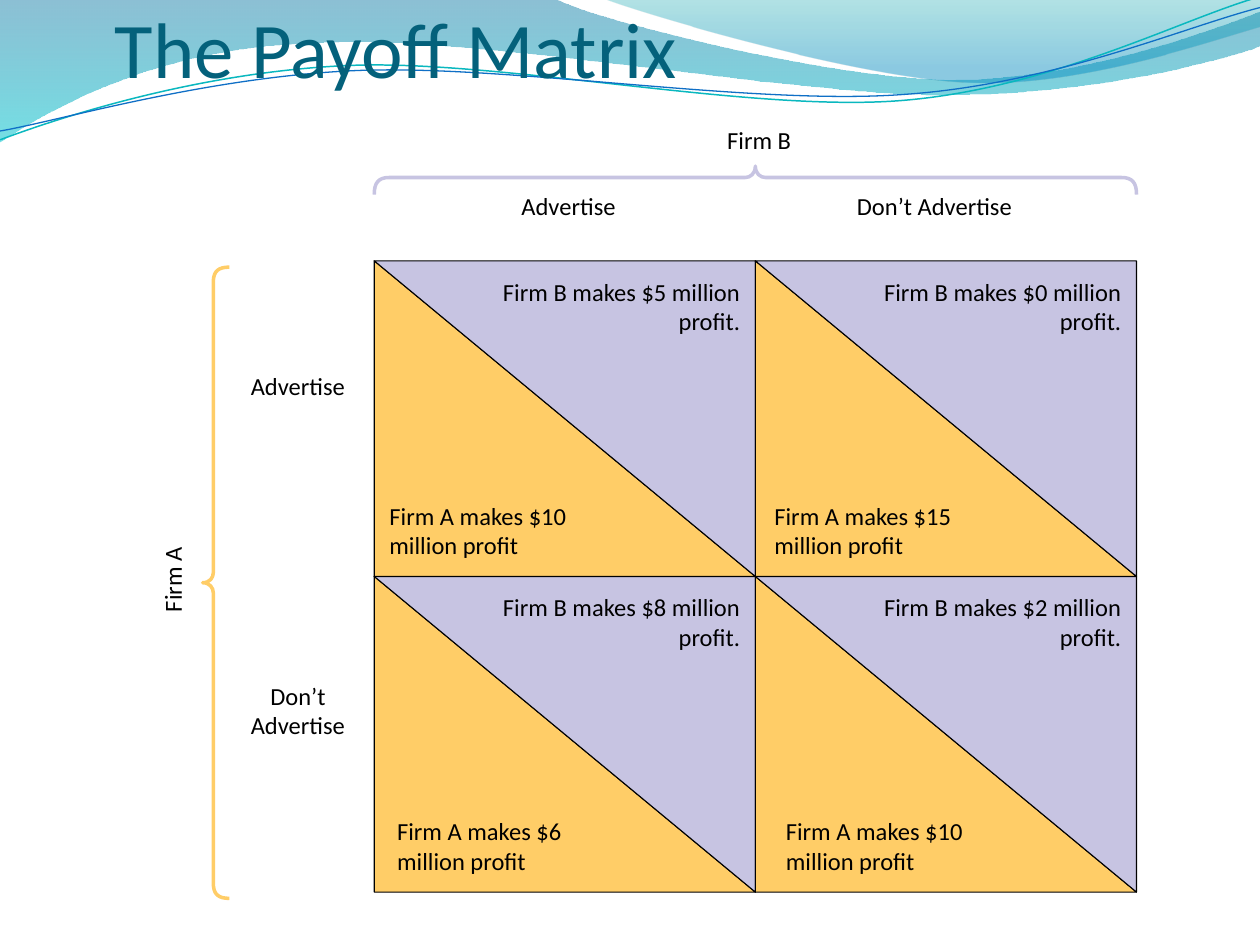
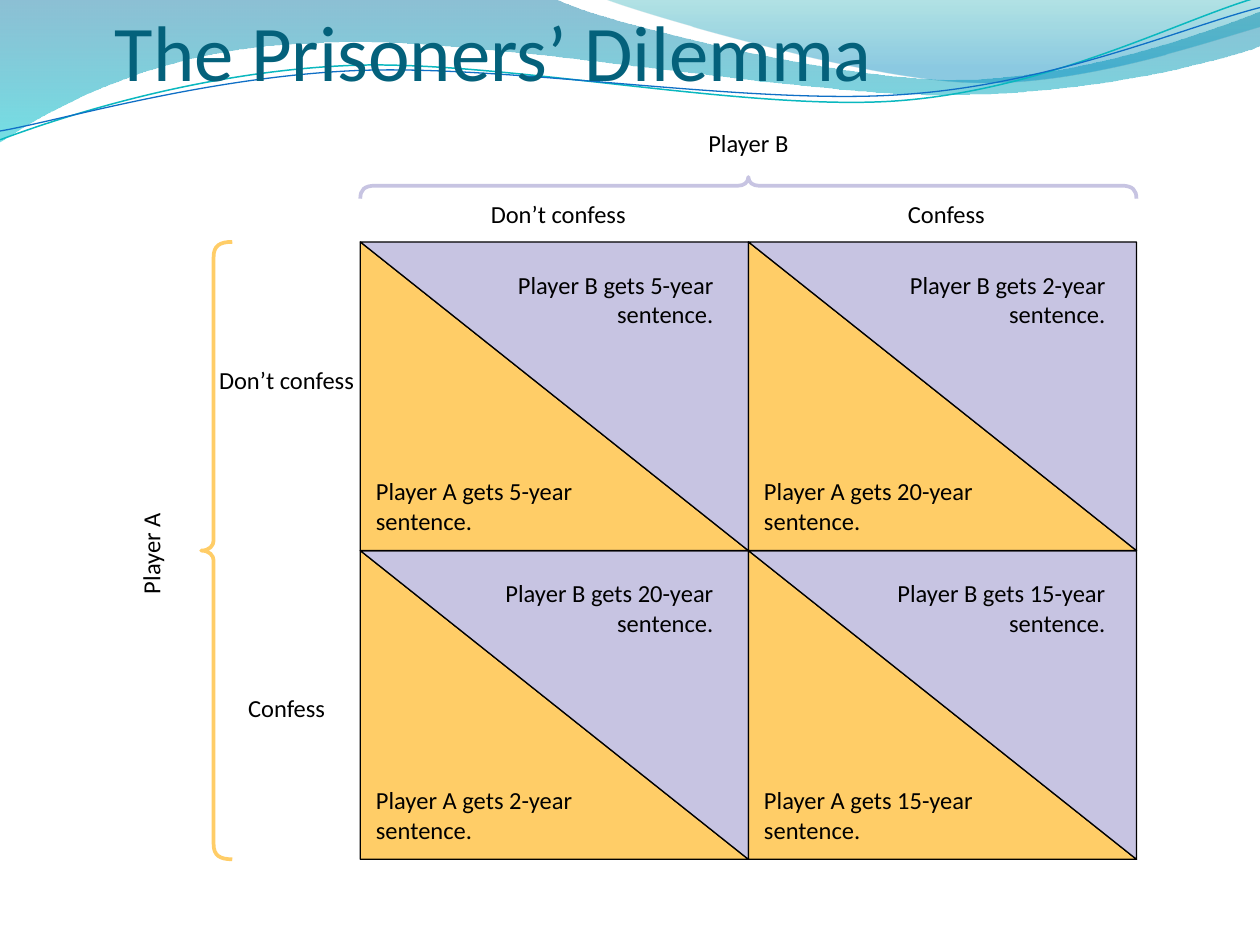
import dataclasses
import itertools
import math

import lxml.etree
import pptx
import pptx.dml.color
import pptx.enum.text
import pptx.oxml.ns
import pptx.util

Point = tuple[float, float]
Segment = list[Point]  # two points are a line, four are a Bezier curve

WIDTH, HEIGHT = 10, 7.5
FONT = "Calibri"
BODY_SIZE, TITLE_SIZE = 14, 45
LINE_HEIGHT, TITLE_HEIGHT = 0.235, 0.67
COLORS = {
    "title": "04617B", "text": "000000", "outline": "000000",
    "row_player": "FFCD67", "column_player": "C7C4E2",
    "band_top": "0074A1", "band_bottom": "00C6CF",
    "crest_top": "00A1A9", "crest_bottom": "008BBF",
    "teal_line": "0AB8BF", "blue_line": "0F6FC6",
}
LEFT = pptx.enum.text.PP_ALIGN.LEFT
CENTER = pptx.enum.text.PP_ALIGN.CENTER
RIGHT = pptx.enum.text.PP_ALIGN.RIGHT
LINE_TILT, LINE_CENTER = -2.7, (4.99, 0.58)


@dataclasses.dataclass
class Stop:
    """One end of a gradient: colour name, place and opacity in percent."""
    color: str
    position: float
    opacity: int


@dataclasses.dataclass
class Wave:
    """A filled band, or a thin tilted line."""
    segments: list[Segment]
    stops: tuple[Stop, ...] = ()
    line: str | None = None
    line_width: float = 0


@dataclasses.dataclass
class Label:
    """Text centred on a column, with its top (or middle, if turned) on a row."""
    text: str
    column: float
    row: float
    width: float
    lines: int = 1
    turned: bool = False


@dataclasses.dataclass
class Brace:
    """Arms and tip across the grid; start and end along it."""
    arms: float
    tip: float
    start: float
    end: float


@dataclasses.dataclass
class Matrix:
    """A two by two game; inner lengths are in columns and rows."""
    title: str
    title_top: float
    left: float
    top: float
    right: float
    bottom: float
    outline: float
    brace_line: float
    labels: list[Label]
    top_brace: Brace
    side_brace: Brace
    column_text: str
    column_values: tuple[int, ...]
    column_rights: tuple[float, float]
    column_top: float
    column_text_width: float
    row_text: str
    row_values: tuple[int, ...]
    row_lefts: tuple[float, ...]
    row_text_widths: tuple[float, float]

    @property
    def column_width(self) -> float:
        return (self.right - self.left) / 2

    def at(self, column: float, row: float) -> Point:
        row_height = (self.bottom - self.top) / 2
        return self.left + column * self.column_width, self.top + row * row_height


# Waves behind every title
WAVES = [
    Wave([[(0, 0), (4.4, -0.01)],
          [(4.4, -0.01), (4.76, 0.17), (6.64, 0.63), (7.58, 0.63)],
          [(7.58, 0.63), (8.53, 0.63), (9.58, 0.26), (10, 0.09)],
          [(10, 0.09), (10.01, 0.36)],
          [(10.01, 0.36), (9.83, 0.44), (8.7, 0.76), (7.46, 0.75)],
          [(7.46, 0.75), (6.22, 0.75), (3.82, 0.28), (2.57, 0.34)],
          [(2.57, 0.34), (1.29, 0.36), (0.46, 0.83), (-0.01, 1.13)],
          [(-0.01, 1.13), (0, 0)]],
         (Stop("band_top", 0, 45), Stop("band_bottom", 1, 55))),
    Wave([[(4.79, -0.01), (5.09, 0.11), (6.82, 0.62), (7.69, 0.65)],
          [(7.69, 0.65), (8.56, 0.69), (9.61, 0.32), (10, 0.21)],
          [(10, 0.21), (10, 0)],
          [(10, 0), (4.79, -0.01)]],
         (Stop("crest_top", 0, 30), Stop("crest_bottom", 0.8, 45))),
    Wave([[(0, 1.11), (0.48, 0.93), (1.58, 0.57), (2.77, 0.52)],
          [(2.77, 0.52), (3.95, 0.47), (5.93, 0.89), (7.13, 0.8)],
          [(7.13, 0.8), (8.33, 0.71), (9.38, 0.15), (9.98, -0.02)]],
         line="teal_line", line_width=0.85),
    Wave([[(0, 1.04), (0.47, 0.96), (1.64, 0.61), (2.83, 0.56)],
          [(2.83, 0.56), (4.03, 0.51), (5.97, 0.84), (7.17, 0.75)],
          [(7.17, 0.75), (8.36, 0.67), (9.41, 0.21), (10, 0.06)]],
         line="blue_line", line_width=0.75),
]

# The two games; values run along the top row, then the bottom row
MATRICES = [
    Matrix(
        "The Payoff Matrix", 0.08, 2.97, 2.07, 9.02, 7.08, 0.63, 2,
        [Label("Firm A", -0.53, 1.01, 0.19, turned=True),
         Label("Firm B", 1.01, -0.43, 0.19),
         Label("Advertise", 0.51, -0.22, 0.57),
         Label("Don’t Advertise", 1.47, -0.22, 0.57),
         Label("Advertise", -0.2, 0.35, 0.36),
         Label("Don’t Advertise", -0.2, 1.33, 0.36, lines=2)],
        Brace(-0.21, -0.3, 0, 2), Brace(-0.38, -0.45, 0.02, 2.02),
        "Firm B makes ${} million profit.", (5, 0, 8, 2), (0.04, 0.04), 0.05, 0.78,
        "Firm A makes ${} million profit", (10, 15, 6, 10),
        (0.04, 0.05, 0.06, 0.08), (0.58, 0.58)),
    Matrix(
        "The Prisoners’ Dilemma", 0.1, 2.86, 1.92, 9.02, 6.82, 0.75, 2.13,
        [Label("Player A", -0.54, 1.01, 0.3, turned=True),
         Label("Player B", 1, -0.37, 0.24),
         Label("Don’t confess", 0.51, -0.14, 0.39),
         Label("Confess", 1.51, -0.14, 0.24),
         Label("Don’t confess", -0.19, 0.4, 0.36, lines=2),
         Label("Confess", -0.19, 1.46, 0.24)],
        Brace(-0.14, -0.21, 0, 2), Brace(-0.33, -0.41, 0, 2),
        "Player B gets {}-year sentence.", (5, 2, 20, 15), (0.09, 0.08), 0.09, 0.57,
        "Player A gets {}-year sentence.", (5, 20, 2, 15), (0.04,) * 4, (0.57, 0.66)),
]


def rgb(name: str) -> pptx.dml.color.RGBColor:
    return pptx.dml.color.RGBColor.from_string(COLORS[name])


def curve_points(segments: list[Segment], steps: int = 20) -> list[Point]:
    """Points along the segments, to find how far an outline reaches."""
    points = [segments[0][0]]
    for segment in segments:
        if len(segment) == 2:
            points.append(segment[1])
            continue
        for step in range(1, steps + 1):
            t = step / steps
            weights = ((1 - t) ** 3, 3 * t * (1 - t) ** 2, 3 * t * t * (1 - t), t ** 3)
            points.append(tuple(sum(w * p[axis] for w, p in zip(weights, segment))
                                for axis in (0, 1)))
    return points


def turn(point: Point, center: Point, degrees: float) -> Point:
    angle = math.radians(degrees)
    x, y = point[0] - center[0], point[1] - center[1]
    return (center[0] + x * math.cos(angle) - y * math.sin(angle),
            center[1] + x * math.sin(angle) + y * math.cos(angle))


def draw_outline(slide, segments: list[Segment], closed: bool, fill: str | None = None,
                 line: str | None = None, line_width: float = 0):
    emu = [(pptx.util.Inches(x), pptx.util.Inches(y)) for x, y in curve_points(segments)]
    builder = slide.shapes.build_freeform(*emu[0])
    builder.add_line_segments(emu[1:], close=closed)
    shape = builder.convert_to_shape()

    # True curves in place of the sampled points
    outline = next(shape.element.iter(pptx.oxml.ns.qn("a:path")))
    for child in list(outline):
        outline.remove(child)

    def add_step(tag: str, points: list[Point]) -> None:
        step = lxml.etree.SubElement(outline, pptx.oxml.ns.qn(tag))
        for x, y in points:
            point = lxml.etree.SubElement(step, pptx.oxml.ns.qn("a:pt"))
            point.set("x", str(pptx.util.Inches(x) - shape.left))
            point.set("y", str(pptx.util.Inches(y) - shape.top))

    add_step("a:moveTo", segments[0][:1])
    for segment in segments:
        add_step("a:lnTo" if len(segment) == 2 else "a:cubicBezTo", segment[1:])
    if closed:
        add_step("a:close", [])

    shape.shadow.inherit = False
    if fill:
        shape.fill.solid()
        shape.fill.fore_color.rgb = rgb(fill)
    else:
        shape.fill.background()
    if line:
        shape.line.color.rgb = rgb(line)
        shape.line.width = pptx.util.Pt(line_width)
    else:
        shape.line.fill.background()
    return shape


def draw_wave(slide, wave: Wave) -> None:
    if wave.line:
        level = [[turn(point, LINE_CENTER, -LINE_TILT) for point in segment]
                 for segment in wave.segments]
        shape = draw_outline(slide, level, False, line=wave.line, line_width=wave.line_width)
        shape.rotation = LINE_TILT
        return
    shape = draw_outline(slide, wave.segments, True)
    shape.fill.gradient()
    shape.fill.gradient_angle = 270
    for gradient_stop, stop in zip(shape.fill.gradient_stops, wave.stops):
        gradient_stop.color.rgb = rgb(stop.color)
        gradient_stop.position = stop.position
    colors = shape.element.iter(pptx.oxml.ns.qn("a:srgbClr"))
    for color, stop in zip(list(colors), wave.stops):
        alpha = lxml.etree.SubElement(color, pptx.oxml.ns.qn("a:alpha"))
        alpha.set("val", str(stop.opacity * 1000))


def draw_text(slide, text: str, left: float, top: float, width: float, height: float,
              align=LEFT, size: float = BODY_SIZE, color: str = "text"):
    shape = slide.shapes.add_textbox(*map(pptx.util.Inches, (left, top, width, height)))
    frame = shape.text_frame
    frame.word_wrap = True
    frame.margin_left = frame.margin_right = frame.margin_top = frame.margin_bottom = 0
    paragraph = frame.paragraphs[0]
    paragraph.text = text
    paragraph.alignment = align
    paragraph.font.name = FONT
    paragraph.font.size = pptx.util.Pt(size)
    paragraph.font.color.rgb = rgb(color)
    return shape


def draw_title(slide, text: str, top: float) -> None:
    left = 0.091 * WIDTH
    shape = draw_text(slide, text, left, top, WIDTH - left, TITLE_HEIGHT,
                      size=TITLE_SIZE, color="title")
    shape.text_frame.vertical_anchor = pptx.enum.text.MSO_ANCHOR.BOTTOM


def draw_label(slide, matrix: Matrix, label: Label) -> None:
    x, y = matrix.at(label.column, label.row)
    width, height = label.width * matrix.column_width, label.lines * LINE_HEIGHT
    top = y - height / 2 if label.turned else y
    shape = draw_text(slide, label.text, x - width / 2, top, width, height, CENTER)
    if label.turned:
        shape.rotation = 270


def draw_brace(slide, arms: float, tip: float, start: float, end: float,
               color: str, line_width: float, upright: bool) -> None:
    """Two mirrored halves, each an arm, a stem and half a tip."""
    middle, corner, beak = (start + end) / 2, 0.12, 0.08
    stem = arms + 0.6 * (tip - arms)
    half = [[(start, arms), (start, (arms + 2 * stem) / 3),
             (start + corner / 4, stem), (start + corner, stem)],
            [(start + corner, stem), (middle - beak, stem)],
            [(middle - beak, stem), (middle - beak / 2, stem),
             (middle, (2 * stem + tip) / 3), (middle, tip)]]
    segments = half + [[(2 * middle - along, across) for along, across in reversed(segment)]
                       for segment in reversed(half)]
    if upright:
        segments = [[(across, along) for along, across in segment] for segment in segments]
    draw_outline(slide, segments, False, line=color, line_width=line_width)


def draw_matrix(slide, matrix: Matrix) -> None:
    cells = list(itertools.product((0, 1), (0, 1)))
    # Each cell is split along its diagonal
    for row, column in itertools.product((1, 0), (0, 1)):
        start, end = matrix.at(column, row), matrix.at(column + 1, row + 1)
        for color, corner in (("row_player", (start[0], end[1])),
                              ("column_player", (end[0], start[1]))):
            sides = [[start, corner], [corner, end], [end, start]]
            draw_outline(slide, sides, True, color, "outline", matrix.outline)

    # Braces
    top, side = matrix.top_brace, matrix.side_brace
    (arms, first), (tip, last) = matrix.at(side.arms, side.start), matrix.at(side.tip, side.end)
    draw_brace(slide, arms, tip, first, last, "row_player", matrix.brace_line, True)
    (first, arms), (last, tip) = matrix.at(top.start, top.arms), matrix.at(top.end, top.tip)
    draw_brace(slide, arms, tip, first, last, "column_player", matrix.brace_line, False)

    # Player and choice names
    for label in matrix.labels:
        draw_label(slide, matrix, label)

    # Outcomes
    for (row, column), column_value, row_value, row_left in zip(
            cells, matrix.column_values, matrix.row_values, matrix.row_lefts):
        width = matrix.column_text_width
        x, y = matrix.at(column + 1 - matrix.column_rights[column] - width,
                         row + matrix.column_top)
        draw_text(slide, matrix.column_text.format(column_value), x, y,
                  width * matrix.column_width, 2 * LINE_HEIGHT, RIGHT)
        x, y = matrix.at(column + row_left, row + 0.76)
        draw_text(slide, matrix.row_text.format(row_value), x, y,
                  matrix.row_text_widths[column] * matrix.column_width, 2 * LINE_HEIGHT)


presentation = pptx.Presentation()
presentation.slide_width = pptx.util.Inches(WIDTH)
presentation.slide_height = pptx.util.Inches(HEIGHT)
for game in MATRICES:
    game_slide = presentation.slides.add_slide(presentation.slide_layouts[6])
    for title_wave in WAVES:
        draw_wave(game_slide, title_wave)
    draw_title(game_slide, game.title, game.title_top)
    draw_matrix(game_slide, game)
presentation.save("out.pptx")
